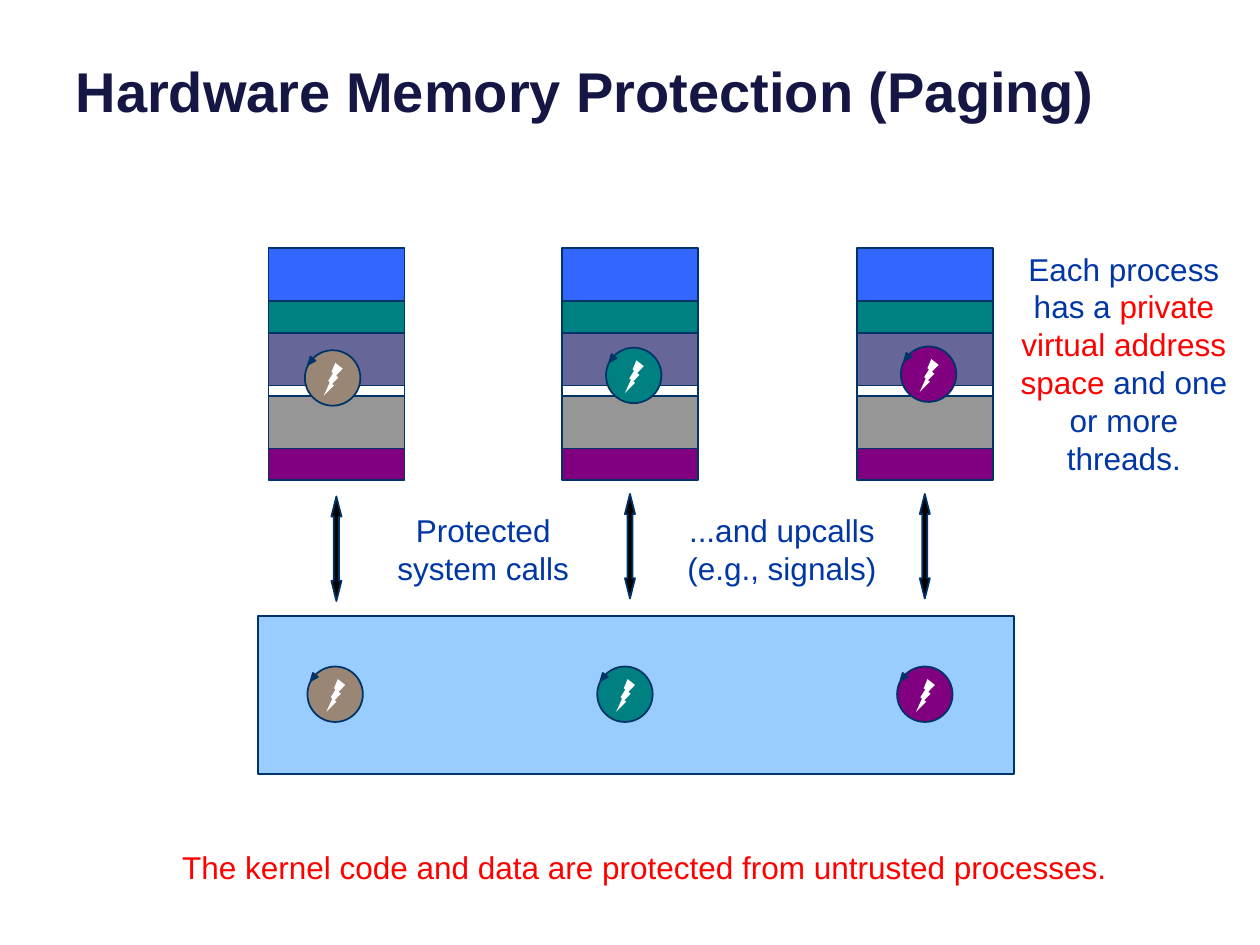
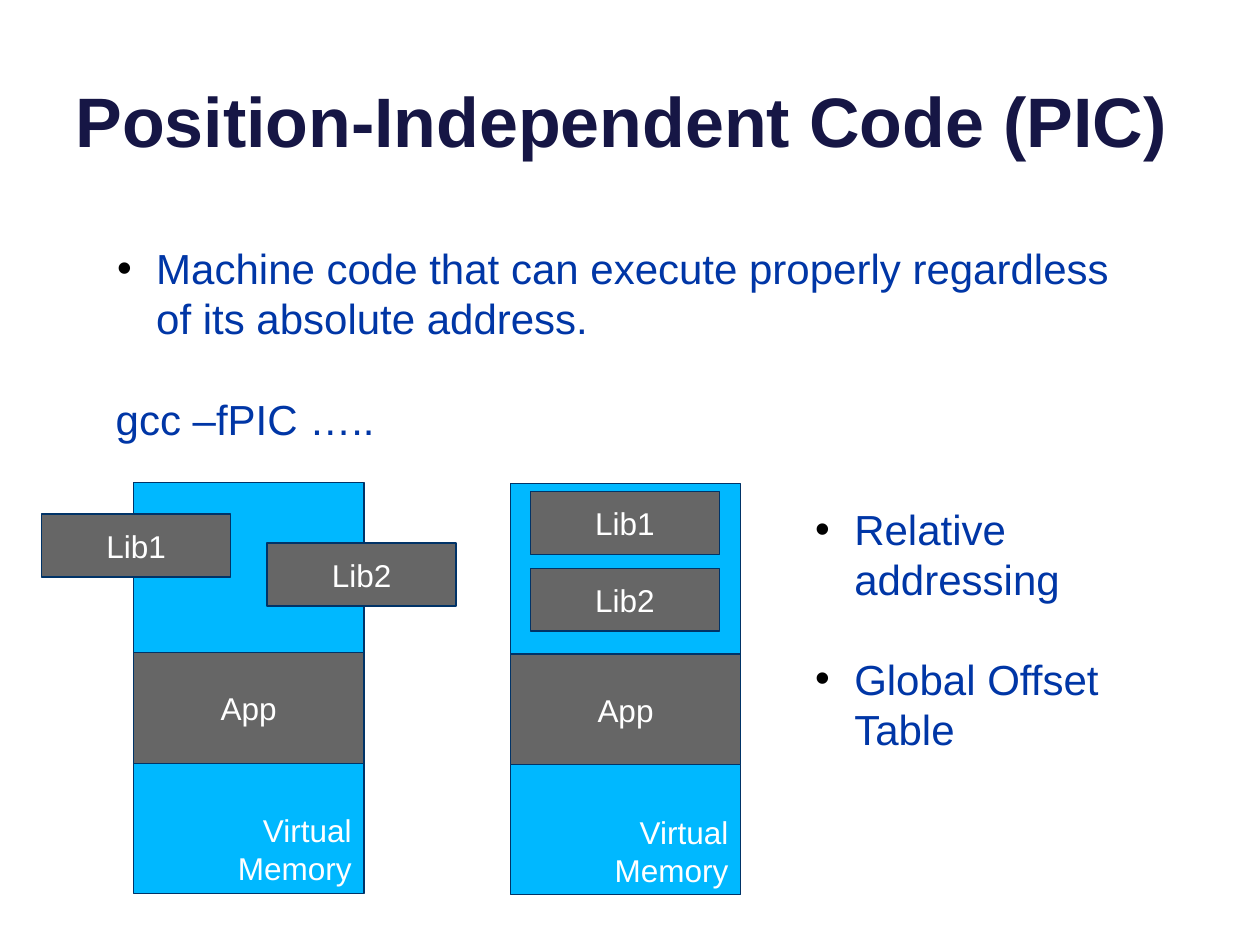
from lxml import etree
from pptx import Presentation
from pptx import util as u
from pptx.dml.color import RGBColor
from pptx.enum import shapes, text
from pptx.oxml.ns import qn

FONT = "Arial"
TITLE, BODY, ALERT, OUTLINE = "161645", "0036A6", "FF0000", "003367"
WHITE, BLACK = "FFFFFF", "000000"
KERNEL, MEMORY, MODULE = "99CCFF", "00B8FF", "666666"

SHAPE = shapes.MSO_SHAPE
ALIGN = text.PP_ALIGN
ANCHOR = text.MSO_ANCHOR

# Height and fill of each memory segment, from top to bottom
SEGMENTS = [(0.42, "3366FF"), (0.25, "008080"), (0.42, "666699"),
            (0.08, WHITE), (0.42, "969696"), (0.25, "800080")]


def rgb(color):
    return RGBColor.from_string(color)


def box(x, y, w, h):
    return [u.Inches(v) for v in (x, y, w, h)]


def place(sp, x, y, w, h):
    sp.left, sp.top, sp.width, sp.height = box(x, y, w, h)


def format_runs(p, size, color, bold=False):
    for r in p.runs:
        r.font.name, r.font.size, r.font.bold = FONT, u.Pt(size), bold
        r.font.color.rgb = rgb(color)


def set_frame(tf, anchor, wrap=True):
    tf.word_wrap = wrap
    tf.auto_size = text.MSO_AUTO_SIZE.NONE
    tf.vertical_anchor = anchor


def add_title(s, words, size, bottom):
    sp = s.shapes.title
    place(sp, 0.5, 0, 9, bottom)
    set_frame(sp.text_frame, ANCHOR.BOTTOM)
    sp.text_frame.text = words
    p = sp.text_frame.paragraphs[0]
    p.alignment = ALIGN.LEFT
    format_runs(p, size, TITLE, bold=True)


def add_label(s, bounds, parts, size=18, align=ALIGN.CENTER, wrap=True):
    """Add a text box of one paragraph; parts are (words, colour) pairs."""
    tf = s.shapes.add_textbox(*box(*bounds)).text_frame
    set_frame(tf, ANCHOR.MIDDLE, wrap)
    p = tf.paragraphs[0]
    p.alignment = align
    for words, color in parts:
        r = p.add_run()
        r.text = words
        r.font.name, r.font.size = FONT, u.Pt(size)
        r.font.color.rgb = rgb(color)


def add_bullet(p):
    pPr = p._p.get_or_add_pPr()
    pPr.set("marL", str(u.Inches(0.31)))
    pPr.set("indent", str(-u.Inches(0.31)))
    clr = etree.SubElement(pPr, qn("a:buClr"))
    etree.SubElement(clr, qn("a:srgbClr"), val=BLACK)
    etree.SubElement(pPr, qn("a:buFont"), typeface=FONT)
    etree.SubElement(pPr, qn("a:buChar"), char="•")


def fill_list(sp, bounds, items):
    place(sp, *bounds)
    tf = sp.text_frame
    set_frame(tf, ANCHOR.MIDDLE)
    tf.text = "\n".join(items)
    for i, p in enumerate(tf.paragraphs):
        add_bullet(p)
        p.space_before = u.Pt(28 if i else 0)
        format_runs(p, 24, BODY)


def add_block(parent, kind, bounds, fill, line=1):
    sp = parent.shapes.add_shape(kind, *box(*bounds))
    sp.shadow.inherit = False
    sp.fill.solid()
    sp.fill.fore_color.rgb = rgb(fill)
    if line:
        sp.line.color.rgb = rgb(OUTLINE)
        sp.line.width = u.Pt(line)
    else:
        sp.line.fill.background()
    return sp


def add_named_block(s, bounds, fill, words, align=ALIGN.CENTER, anchor=ANCHOR.MIDDLE):
    sp = add_block(s, SHAPE.RECTANGLE, bounds, fill, line=0.75)
    set_frame(sp.text_frame, anchor)
    sp.text_frame.text = words
    p = sp.text_frame.paragraphs[0]
    p.alignment = align
    format_runs(p, 18, WHITE)


def add_address_space(s, x, y):
    for h, fill in SEGMENTS:
        add_block(s, SHAPE.FLOWCHART_PROCESS, (x, y, 1.08, h), fill)
        y += h


def add_call_arrow(s, x, y):
    """Add a slim two-way arrow: shaft half as wide, heads twice as long."""
    sp = add_block(s, SHAPE.UP_DOWN_ARROW, (x, y, 0.08, 0.83), BLACK)
    guides = sp._element.spPr.find(qn("a:prstGeom")).find(qn("a:avLst"))
    for gd in list(guides):
        guides.remove(gd)
    for name, value in (("adj1", 50000), ("adj2", 200000)):
        etree.SubElement(guides, qn("a:gd"), name=name, fmla=f"val {value}")


def add_thread(s, x, y, fill):
    """Add a thread symbol: a looping circle with a bolt inside."""
    group = s.shapes.add_group_shape()
    add_block(group, SHAPE.OVAL, (x, y, 0.44, 0.44), fill)
    bolt = add_block(group, SHAPE.LIGHTNING_BOLT,
                     (x + 0.15, y + 0.1, 0.15, 0.26), WHITE, line=0)
    bolt._element.spPr.get_or_add_xfrm().set("flipH", "1")
    tip = add_block(group, SHAPE.ISOSCELES_TRIANGLE,
                    (x + 0.02, y + 0.06, 0.05, 0.06), OUTLINE)
    tip.rotation = 219


def add_virtual_memory(s, x, y, libs):
    """Add a memory column with its app; libs are (left, top) positions."""
    add_named_block(s, (x, y, 1.83, 3.26), MEMORY, "Virtual Memory",
                    ALIGN.RIGHT, ANCHOR.BOTTOM)
    add_named_block(s, (x, y + 1.35, 1.83, 0.88), MODULE, "App")
    for i, (left, top) in enumerate(libs, 1):
        add_named_block(s, (left, top, 1.5, 0.5), MODULE, f"Lib{i}")


def build_paging(prs):
    s = prs.slides.add_slide(prs.slide_layouts[5])
    add_title(s, "Hardware Memory Protection (Paging)", 32, 1.03)
    add_block(s, SHAPE.FLOWCHART_PROCESS, (2.05, 4.89, 6, 1.25), KERNEL)
    # Column left, arrow top, user thread position, kernel thread left, colour
    processes = [(2.13, 3.94, (2.42, 2.78), 2.44, "998674"),
                 (4.46, 3.92, (4.81, 2.76), 4.74, "008080"),
                 (6.8, 3.92, (7.15, 2.75), 7.12, "800080")]
    for x, arrow_y, user, kernel_x, color in processes:
        add_address_space(s, x, 1.97)
        add_call_arrow(s, x + 0.5, arrow_y)
        add_thread(s, *user, color)
        add_thread(s, kernel_x, 5.29, color)
    add_label(s, (2.83, 4, 2.01, 0.71), [("Protected system calls", BODY)])
    add_label(s, (5.2, 4, 2.01, 0.71), [("...and upcalls (e.g., signals)", BODY)])
    add_label(s, (7.92, 1.92, 2, 1.92),
              [("Each process has a ", BODY),
               ("private virtual address space", ALERT),
               (" and one or more threads.", BODY)])
    add_label(s, (1.31, 6.68, 7.61, 0.4),
              [("The kernel code and data are protected from untrusted processes.", ALERT)],
              wrap=False)


def build_pic(prs):
    s = prs.slides.add_slide(prs.slide_layouts[3])
    add_title(s, "Position-Independent Code (PIC)", 40, 1.33)
    fill_list(s.placeholders[1], (0.83, 1.87, 8.08, 0.91),
              ["Machine code that can execute properly regardless of its absolute address."])
    add_label(s, (0.82, 3.07, 8.08, 0.5), [("gcc –fPIC …..", BODY)], 24, ALIGN.LEFT)
    add_virtual_memory(s, 1.06, 3.83, [(0.33, 4.08), (2.12, 4.31)])
    add_virtual_memory(s, 4.05, 3.84, [(4.21, 3.9), (4.21, 4.51)])
    fill_list(s.placeholders[2], (6.37, 3.93, 3.02, 2.12),
              ["Relative addressing", "Global Offset Table"])


def main():
    prs = Presentation()
    prs.slide_width, prs.slide_height = u.Inches(10), u.Inches(7.5)
    build_paging(prs)
    build_pic(prs)
    prs.save("out.pptx")


if __name__ == "__main__":
    main()
